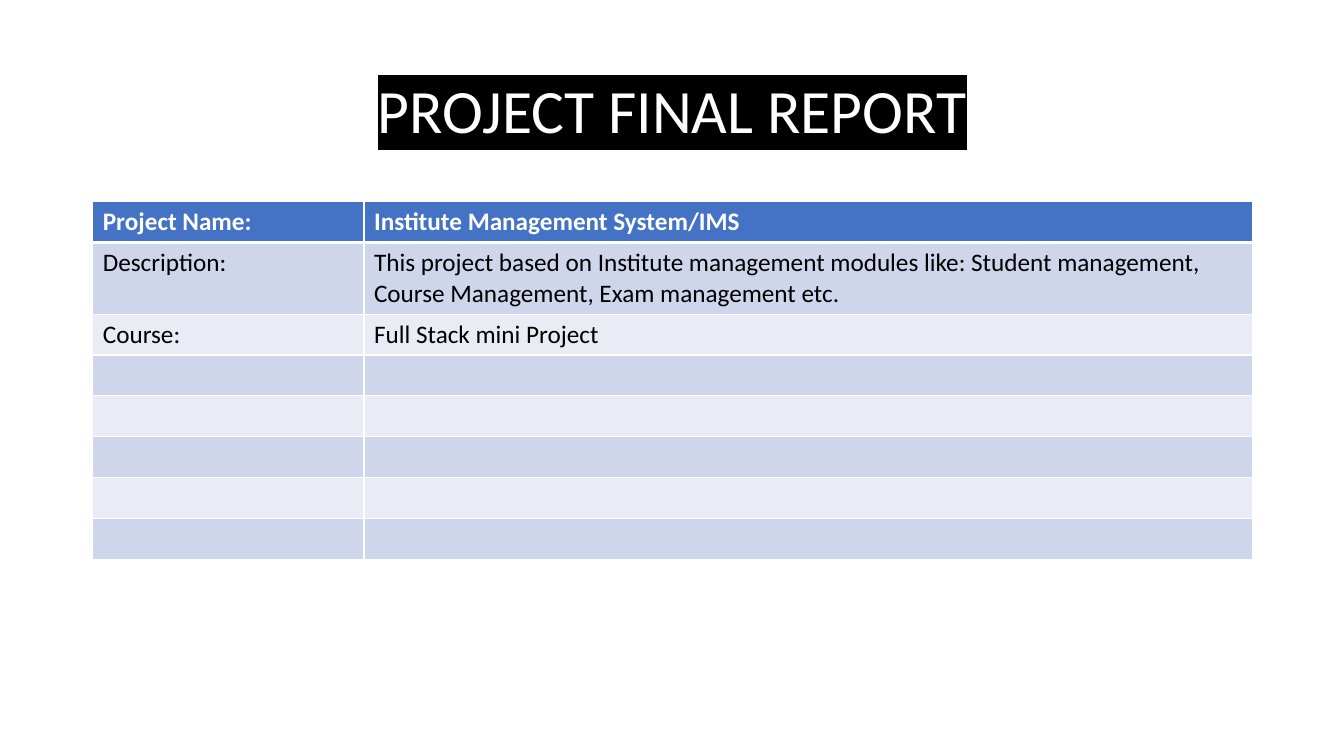
from lxml import etree
from pptx import Presentation
from pptx import util as u
from pptx.dml import color
from pptx.enum import text
from pptx.oxml import ns

TITLE = "PROJECT FINAL REPORT"
PROJECT_ROWS = [
    ("Project Name:", "Institute Management System/IMS"),
    ("Description:", "This project based on Institute management modules like: "
     "Student management, Course Management, Exam management etc."),
    ("Course:", "Full Stack mini Project"),
] + [("", "")] * 5
COLUMN_WIDTHS = (2.69, 8.81)
ROW_HEIGHT, DESCRIPTION_HEIGHT = 0.4, 0.7
HEADER_FILL, BAND_FILLS = "4472C4", ("E9EBF5", "CFD5EA")
WHITE, BLACK = "FFFFFF", "000000"


def rgb(hex_color):
    return color.RGBColor.from_string(hex_color)


def format_font(font, hex_color, **values):
    font.color.rgb = rgb(hex_color)
    for name, value in {"name": "Calibri", **values}.items():
        setattr(font, name, value)


def add_color(parent, hex_color):
    etree.SubElement(parent, ns.qn("a:srgbClr"), val=hex_color)


def highlight(run, hex_color):
    mark = etree.Element(ns.qn("a:highlight"))
    add_color(mark, hex_color)
    run.font._element.find(ns.qn("a:solidFill")).addnext(mark)


def set_borders(cell, widths):
    properties = cell._tc.get_or_add_tcPr()
    for side, points in widths.items():
        line = etree.SubElement(properties, ns.qn(f"a:ln{side}"), w=str(u.Pt(points)))
        add_color(etree.SubElement(line, ns.qn("a:solidFill")), WHITE)


def place_title(slide, left, top, width, height):
    title = slide.shapes.title
    box = {"left": left, "top": top, "width": width, "height": height}
    for name, value in box.items():
        setattr(title, name, u.Inches(value))
    title.text_frame.vertical_anchor = text.MSO_ANCHOR.MIDDLE
    paragraph = title.text_frame.paragraphs[0]
    paragraph.alignment = text.PP_ALIGN.CENTER
    paragraph.line_spacing = 0.9
    run = paragraph.add_run()
    run.text = TITLE
    format_font(run.font, WHITE, size=u.Pt(44))
    highlight(run, BLACK)


def place_project_table(slide, left, top, width, height):
    frame = slide.shapes.add_table(
        len(PROJECT_ROWS), len(COLUMN_WIDTHS),
        *map(u.Inches, (left, top, width, height)))
    table = frame.table
    for column, column_width in zip(table.columns, COLUMN_WIDTHS):
        column.width = u.Inches(column_width)

    for index, values in enumerate(PROJECT_ROWS):
        is_header = index == 0
        table.rows[index].height = u.Inches(
            DESCRIPTION_HEIGHT if index == 1 else ROW_HEIGHT)
        # Thick rules on both sides of the edge below the header
        borders = {"L": 1, "R": 1, "T": 3 if index == 1 else 1,
                   "B": 3 if is_header else 1}
        for cell, value in zip(table.rows[index].cells, values):
            set_borders(cell, borders)
            cell.fill.solid()
            cell.fill.fore_color.rgb = rgb(
                HEADER_FILL if is_header else BAND_FILLS[index % 2])
            if value:
                cell.text = value
                format_font(cell.text_frame.paragraphs[0].runs[0].font,
                            WHITE if is_header else BLACK,
                            size=u.Pt(18), bold=is_header)


def main():
    presentation = Presentation()
    presentation.slide_width = u.Inches(13.33)
    presentation.slide_height = u.Inches(7.5)
    title_only = presentation.slide_layouts[5]
    slide = presentation.slides.add_slide(title_only)

    # Heading
    place_title(slide, 0.92, 0.4, 11.5, 1.45)
    # Project details
    place_project_table(slide, 0.92, 2, 11.5, 3.5)

    presentation.save("out.pptx")


if __name__ == "__main__":
    main()
